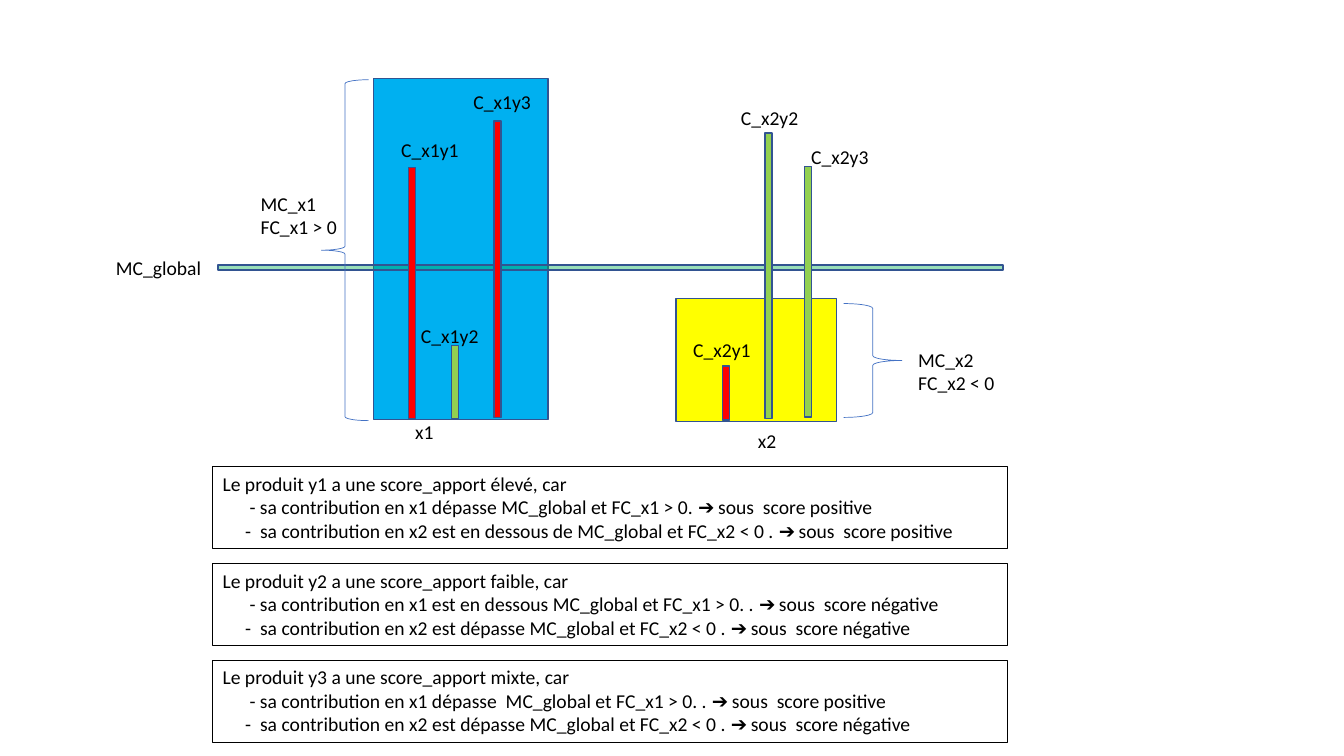
from dataclasses import dataclass

from lxml.etree import SubElement
from pptx import Presentation
from pptx.dml.color import RGBColor
from pptx.enum.shapes import MSO_SHAPE as Shape
from pptx.enum.text import MSO_ANCHOR as Anchor, PP_ALIGN as Align
from pptx.oxml.ns import qn
from pptx.util import Cm, Pt


@dataclass(frozen=True)
class Theme:
    font: str = "Calibri"
    size: int = 14
    text: str = "000000"
    outline: str = "325491"
    brace: str = "4472C4"
    x1_zone: str = "00B0F0"
    x2_zone: str = "FFFF00"
    average: str = "00B050"
    red: str = "FF0000"
    green: str = "92D050"


class ContributionSlide:
    def __init__(self, slide, theme):
        self.slide = slide
        self.theme = theme

    def shape(self, kind, box, line, width, fill=None, opacity=None):
        shape = self.slide.shapes.add_shape(kind, *map(Cm, box))
        shape.shadow.inherit = False
        shape.line.color.rgb = RGBColor.from_string(line)
        shape.line.width = Pt(width)
        if fill is None:
            shape.fill.background()
        else:
            shape.fill.solid()
            shape.fill.fore_color.rgb = RGBColor.from_string(fill)
        if opacity is not None:
            color = shape._element.spPr.find(qn("a:solidFill"))[0]
            SubElement(color, qn("a:alpha"), val=str(opacity * 1000))
        return shape

    def rectangle(self, box, fill, opacity=None):
        return self.shape(Shape.RECTANGLE, box, self.theme.outline, 1, fill, opacity)

    def brace(self, kind, box):
        return self.shape(kind, box, self.theme.brace, 0.5)

    def set_lines(self, shape, lines, indents=()):
        frame = shape.text_frame
        frame.word_wrap = True
        frame.vertical_anchor = Anchor.TOP
        frame.text = "\n".join(lines)
        for paragraph in frame.paragraphs:
            paragraph.alignment = Align.LEFT
            for run in paragraph.runs:
                run.font.name = self.theme.font
                run.font.size = Pt(self.theme.size)
                run.font.color.rgb = RGBColor.from_string(self.theme.text)
        for paragraph, indent in zip(frame.paragraphs, indents):
            properties = paragraph._p.get_or_add_pPr()
            properties.set("marL", str(Cm(indent)))
            properties.set("indent", "0")

    def label(self, left, top, width, *lines):
        height = 0.25 + 0.6 * len(lines)
        box = self.slide.shapes.add_textbox(*map(Cm, (left, top, width, height)))
        self.set_lines(box, lines)

    def explanation(self, top, lines):
        box = (5.36, top, 20.04, 2.06)
        shape = self.shape(Shape.RECTANGLE, box, self.theme.text, 0.75)
        self.set_lines(shape, lines, indents=(0, 0.68, 0.57))


THEME = Theme()
BAR_WIDTH = 0.18

# Bar left, top, height and colour, then label left, top and width
BARS = {
    "C_x1y1": (10.29, 4.22, 6.32, THEME.red, 9.86, 3.35, 2.36),
    "C_x1y2": (11.38, 8.71, 1.83, THEME.green, 10.36, 8.05, 2.13),
    "C_x1y3": (12.45, 3.05, 7.47, THEME.red, 11.68, 2.13, 2.36),
    "C_x2y1": (18.21, 9.22, 1.37, THEME.red, 17.22, 8.38, 2.13),
    "C_x2y2": (19.28, 3.35, 7.19, THEME.green, 18.42, 2.54, 2.21),
    "C_x2y3": (20.27, 4.19, 6.32, THEME.green, 20.19, 3.53, 2.21),
}

EXPLANATIONS = [
    ("Le produit y1 a une score_apport élevé, car",
     "- sa contribution en x1 dépasse MC_global et FC_x1 > 0. ➔ sous  score positive",
     "-  sa contribution en x2 est en dessous de MC_global et FC_x2 < 0 . ➔ sous  score positive"),
    ("Le produit y2 a une score_apport faible, car",
     "- sa contribution en x1 est en dessous MC_global et FC_x1 > 0. . ➔ sous  score négative",
     "-  sa contribution en x2 est dépasse MC_global et FC_x2 < 0 . ➔ sous  score négative"),
    ("Le produit y3 a une score_apport mixte, car",
     "- sa contribution en x1 dépasse  MC_global et FC_x1 > 0. . ➔ sous  score positive",
     "-  sa contribution en x2 est dépasse MC_global et FC_x2 < 0 . ➔ sous  score négative"),
]


def main():
    presentation = Presentation()
    presentation.slide_width, presentation.slide_height = Cm(33.87), Cm(19.05)
    slide = presentation.slides.add_slide(presentation.slide_layouts[6])
    page = ContributionSlide(slide, THEME)

    # Zones and global average
    page.rectangle((17.04, 7.52, 4.04, 3.11), THEME.x2_zone)
    page.rectangle((9.42, 1.98, 4.39, 8.59), THEME.x1_zone)
    page.rectangle((5.49, 6.68, 19.79, 0.13), THEME.average, opacity=40)
    page.label(2.67, 6.32, 3.12, "MC_global")

    # Contribution bars
    for name, (left, top, height, color, *label_box) in BARS.items():
        page.rectangle((left, top, BAR_WIDTH, height), color)
        page.label(*label_box, name)

    # Zone names
    page.label(10.21, 10.46, 1.35, "x1")
    page.label(18.85, 10.69, 1.35, "x2")

    # Braces with zone averages
    page.brace(Shape.LEFT_BRACE, (8.1, 2.01, 1.19, 8.59))
    page.label(6.32, 4.7, 3.12, "MC_x1", "FC_x1 > 0")
    page.brace(Shape.RIGHT_BRACE, (21.26, 7.65, 1.47, 2.87))
    page.label(22.89, 8.64, 3.33, "MC_x2", "FC_x2 < 0")

    # Explanations per product
    for row, lines in enumerate(EXPLANATIONS):
        page.explanation(11.76 + 2.44 * row, lines)

    presentation.save("out.pptx")


if __name__ == "__main__":
    main()
